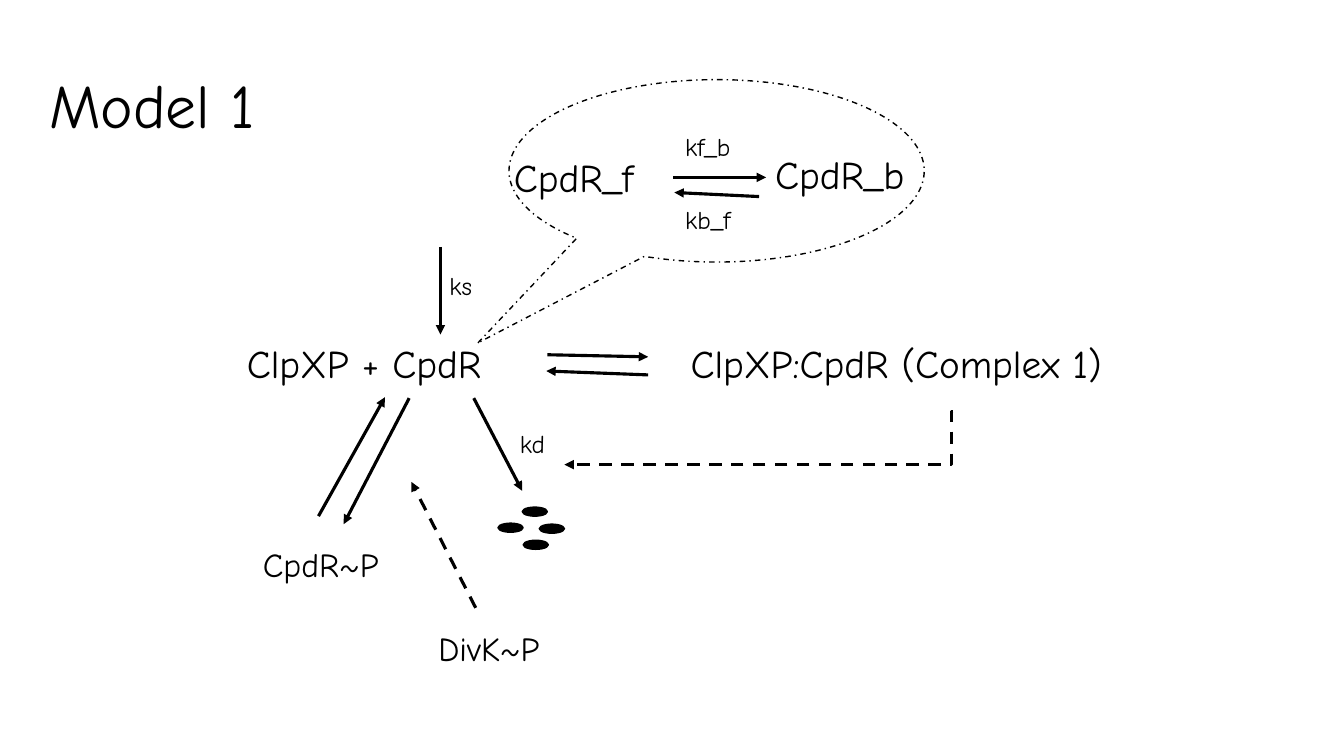
"""Build the Model 1 reaction diagram slide."""
from dataclasses import dataclass

from lxml import etree
from pptx import Presentation
from pptx.dml.color import RGBColor
from pptx.enum.dml import MSO_LINE
from pptx.enum.shapes import MSO_CONNECTOR, MSO_SHAPE
from pptx.enum.text import MSO_AUTO_SIZE
from pptx.oxml.ns import qn
from pptx.util import Pt

STRAIGHT, ELBOW = MSO_CONNECTOR.STRAIGHT, MSO_CONNECTOR.ELBOW
OVAL, CALLOUT = MSO_SHAPE.OVAL, MSO_SHAPE.OVAL_CALLOUT
DASH, DASH_DOT = MSO_LINE.DASH, MSO_LINE.DASH_DOT
FIT_TEXT = MSO_AUTO_SIZE.SHAPE_TO_FIT_TEXT


@dataclass(frozen=True)
class Theme:
    """Colours, type sizes and line widths of the slide."""
    font: str = "Comic Neue"
    ink: RGBColor = RGBColor(0, 0, 0)
    paper: RGBColor = RGBColor(255, 255, 255)
    title: int = 44
    species: int = 28
    regulator: int = 24
    rate: int = 18
    arrow: float = 2.25
    outline: float = 1


THEME = Theme()


def add_label(slide, box, text, size, wrap=False, tab=None):
    """Add one line of text, with an optional tab stop."""
    label = slide.shapes.add_textbox(*map(Pt, box))
    frame = label.text_frame
    frame.word_wrap = wrap
    frame.auto_size = FIT_TEXT
    paragraph = frame.paragraphs[0]
    paragraph.text = text
    if tab:
        stops = etree.SubElement(paragraph._p.get_or_add_pPr(), qn("a:tabLst"))
        etree.SubElement(stops, qn("a:tab"), pos=str(Pt(tab)), algn="l")
    paragraph.font.name = THEME.font
    paragraph.font.size = Pt(size)
    paragraph.font.color.rgb = THEME.ink


def add_arrow(slide, origin, start, end, dash=None, kind=STRAIGHT):
    """Add an arrow between two points given relative to the origin."""
    left, top = origin
    ends = (left + start[0], top + start[1], left + end[0], top + end[1])
    arrow = slide.shapes.add_connector(kind, *map(Pt, ends))
    arrow.line.color.rgb = THEME.ink
    arrow.line.width = Pt(THEME.arrow)
    if dash:
        arrow.line.dash_style = dash
    properties = arrow._element.spPr
    etree.SubElement(properties.find(qn("a:ln")), qn("a:tailEnd"), type="triangle")
    etree.SubElement(properties, qn("a:effectLst"))
    return arrow


def add_outlined(slide, kind, box, fill):
    """Add a filled shape with a thin outline."""
    shape = slide.shapes.add_shape(kind, *map(Pt, box))
    shape.shadow.inherit = False
    shape.fill.solid()
    shape.fill.fore_color.rgb = fill
    shape.line.color.rgb = THEME.ink
    shape.line.width = Pt(THEME.outline)
    return shape


def add_binding_callout(slide, box):
    """Draw the callout with the free and bound forms of CpdR."""
    left, top = box[:2]
    callout = add_outlined(slide, CALLOUT, box, THEME.paper)
    callout.adjustments[0] = -0.575
    callout.adjustments[1] = 0.943
    callout.line.dash_style = DASH_DOT
    for text, x, y, width, height, size in (
        ("CpdR_f", -3.6, 49, 113, 41, THEME.species),
        ("CpdR_b", 183, 46.8, 116, 41, THEME.species),
        ("kf_b", 118.8, 33.1, 55.4, 29, THEME.rate),
        ("kb_f", 118.8, 85.7, 55.4, 29, THEME.rate),
    ):
        add_label(slide, (left + x, top + y, width, height), text, size)
    add_arrow(slide, (left, top), (117.4, 69.8), (183.6, 69.8))
    add_arrow(slide, (left, top), (178.6, 83.5), (118.1, 80.6))


def add_complex_formation(slide, box):
    """Draw the main reaction row and the synthesis of CpdR above it."""
    left, top = box[:2]
    add_label(slide, box, "ClpXP + CpdR\tClpXP:CpdR (Complex 1)",
              THEME.species, wrap=True, tab=317)
    add_arrow(slide, (left, top), (221.8, 14.4), (293.8, 15.9))
    add_arrow(slide, (left, top), (293.8, 28.8), (221, 26))
    add_arrow(slide, (left, top), (145.4, -62.6), (145.4, 0))
    add_label(slide, (left + 144.7, top - 49.6, 33, 29), "ks", THEME.rate)


def add_degradation(slide, origin):
    """Draw the decay of CpdR into fragments and the feedback on it."""
    left, top = origin
    add_arrow(slide, origin, (0, 0), (34.6, 66.2))
    add_label(slide, (left + 25.9, top + 18, 35.3, 29), "kd", THEME.rate)
    for x, y in ((34.6, 77.8), (17.3, 89.3), (46.8, 90), (35.3, 101.5)):
        add_outlined(slide, OVAL, (left + x, top + y, 18, 6.5), THEME.ink)
    feedback = add_arrow(slide, origin, (342.7, 9.4), (64.8, 47.5), DASH, ELBOW)
    guides = feedback._element.spPr.find(qn("a:prstGeom")).get_or_add_avLst()
    etree.SubElement(guides, qn("a:gd"), name="adj1", fmla="val 400")


def add_phosphorylation(slide, origin):
    """Draw the exchange with CpdR~P and its control by DivK~P."""
    left, top = origin
    add_arrow(slide, origin, (111.6, 0.7), (64.8, 90.7))
    add_arrow(slide, origin, (46.8, 85), (94.3, 0))
    add_arrow(slide, origin, (159.1, 150.5), (113.1, 60.5), DASH)
    add_label(slide, (left, top + 101.5, 98.6, 36), "CpdR~P", THEME.regulator)
    add_label(slide, (left + 125.3, top + 161.3, 106.6, 36), "DivK~P",
              THEME.regulator, wrap=True)


def main():
    """Assemble and save the slide."""
    deck = Presentation()
    deck.slide_width, deck.slide_height = Pt(960), Pt(540)
    slide = deck.slides.add_slide(deck.slide_layouts[6])
    add_binding_callout(slide, (363.6, 56.9, 296.6, 130.3))
    add_complex_formation(slide, (169.2, 239, 696.2, 41))
    add_degradation(slide, (338.4, 284.4))
    add_phosphorylation(slide, (180.7, 283.7))
    add_label(slide, (28, 44, 182, 60.5), "Model 1", THEME.title, wrap=True)
    deck.save("out.pptx")


if __name__ == "__main__":
    main()
